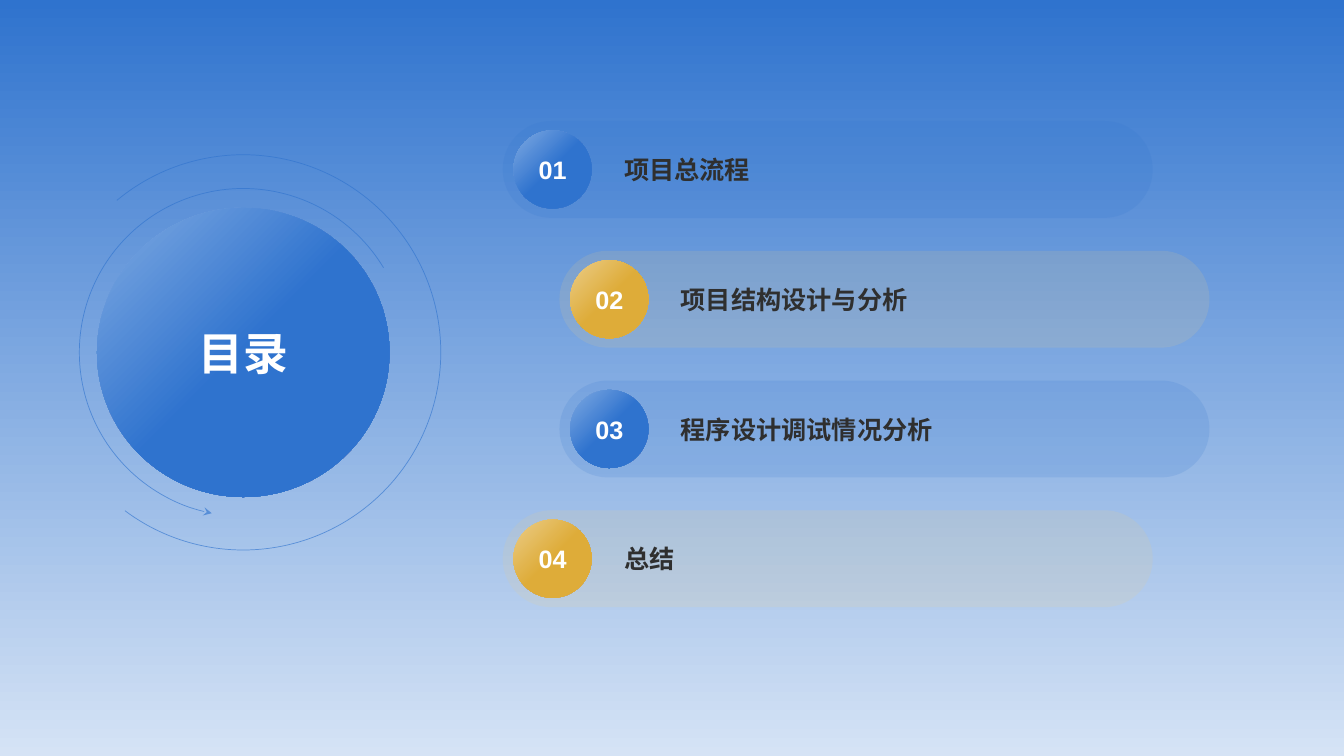
from dataclasses import dataclass

from lxml import etree
from pptx import Presentation
from pptx.dml.color import RGBColor
from pptx.enum import shapes, text
from pptx.oxml.ns import qn
from pptx.util import Cm, Pt


@dataclass(frozen=True)
class Theme:
    font: str = "Arial"
    blue: str = "2F73CE"
    light_blue: str = "81ABE2"
    pale_blue: str = "D5E3F5"
    gold: str = "DEAC39"
    light_gold: str = "EBCD88"
    white: str = "FFFFFF"
    ink: str = "2F2F2F"
    title_size: int = 32
    item_size: int = 18


theme = Theme()


def fill_gradient(fill, start, end, end_position, angle):
    fill.gradient()
    fill.gradient_angle = angle
    for stop, color, position in zip(fill.gradient_stops, (start, end), (0, end_position)):
        stop.color.rgb = RGBColor.from_string(color)
        stop.position = position


def add_text(sp, content, size=theme.item_size, color=theme.white,
             align=text.PP_ALIGN.CENTER, wrap=True):
    tf = sp.text_frame
    tf.word_wrap = wrap
    tf.vertical_anchor = text.MSO_ANCHOR.MIDDLE
    p = tf.paragraphs[0]
    p.alignment = align
    r = p.add_run()
    r.text = content
    r.font.name = theme.font
    r.font.size = Pt(size)
    r.font.bold = True
    r.font.color.rgb = RGBColor.from_string(color)


prs = Presentation()
prs.slide_width, prs.slide_height = Cm(33.87), Cm(19.05)
s = prs.slides.add_slide(prs.slide_layouts[6])
fill_gradient(s.background.fill, theme.blue, theme.pale_blue, 1, 270)

# Title disc with two concentric arcs, angles in degrees clockwise from the right
center_x, center_y = 6.13, 8.88
arcs = [(8.26, 101.07, 328.89, True), (9.96, 230.27, 126.73, False)]
for size, start, end, has_arrow in arcs:
    arc = s.shapes.add_shape(shapes.MSO_SHAPE.ARC, Cm(center_x - size / 2),
                             Cm(center_y - size / 2), Cm(size), Cm(size))
    # An arc adjustment of 0.6 is one degree
    arc.adjustments[0], arc.adjustments[1] = start * 0.6, end * 0.6
    arc.shadow.inherit = False
    arc.fill.background()
    arc.line.width = Pt(0.5)
    arc.line.color.rgb = RGBColor.from_string(theme.blue)
    ln = arc.line._get_or_add_ln()
    etree.SubElement(next(ln.iter(qn("a:srgbClr"))), qn("a:alpha"), val="64000")
    if has_arrow:
        etree.SubElement(ln, qn("a:headEnd"), type="stealth")

disc_w, disc_h = 7.37, 7.29
disc = s.shapes.add_shape(shapes.MSO_SHAPE.OVAL, Cm(center_x - disc_w / 2),
                          Cm(center_y - disc_h / 2), Cm(disc_w), Cm(disc_h))
disc.shadow.inherit = False
disc.line.fill.background()
fill_gradient(disc.fill, theme.light_blue, theme.blue, 0.5, 315)
add_text(disc, "目录", size=theme.title_size)

# Agenda rows: the middle two are indented, colours alternate
items = ["项目总流程", "项目结构设计与分析", "程序设计调试情况分析", "总结"]
palettes = [(theme.blue, theme.light_blue, theme.blue),
            (theme.light_gold, theme.light_gold, theme.gold)]
left, indent, top, pitch = 12.67, 1.43, 3.05, 3.27
pill_w, pill_h, badge_size = 16.38, 2.44, 1.97
for i, item in enumerate(items):
    pill_color, badge_start, badge_end = palettes[i % 2]
    x = left + (indent if i in (1, 2) else 0)
    y = top + i * pitch

    pill = s.shapes.add_shape(shapes.MSO_SHAPE.ROUNDED_RECTANGLE,
                              Cm(x), Cm(y), Cm(pill_w), Cm(pill_h))
    pill.adjustments[0] = 0.5
    pill.shadow.inherit = False
    pill.line.fill.background()
    pill.fill.solid()
    pill.fill.fore_color.rgb = RGBColor.from_string(pill_color)
    pill_srgb = pill._element.spPr.find(qn("a:solidFill")).find(qn("a:srgbClr"))
    etree.SubElement(pill_srgb, qn("a:alpha"), val="15000")
    pill.text_frame.margin_left, pill.text_frame.margin_right = Cm(2.7), Cm(0.5)
    add_text(pill, item, color=theme.ink, align=text.PP_ALIGN.LEFT)

    badge = s.shapes.add_shape(shapes.MSO_SHAPE.OVAL, Cm(x + 0.27),
                               Cm(y + (pill_h - badge_size) / 2),
                               Cm(badge_size), Cm(badge_size))
    badge.shadow.inherit = False
    badge.line.fill.background()
    fill_gradient(badge.fill, badge_start, badge_end, 0.5, 315)
    add_text(badge, f"{i + 1:02d}", wrap=False)

prs.save("out.pptx")
